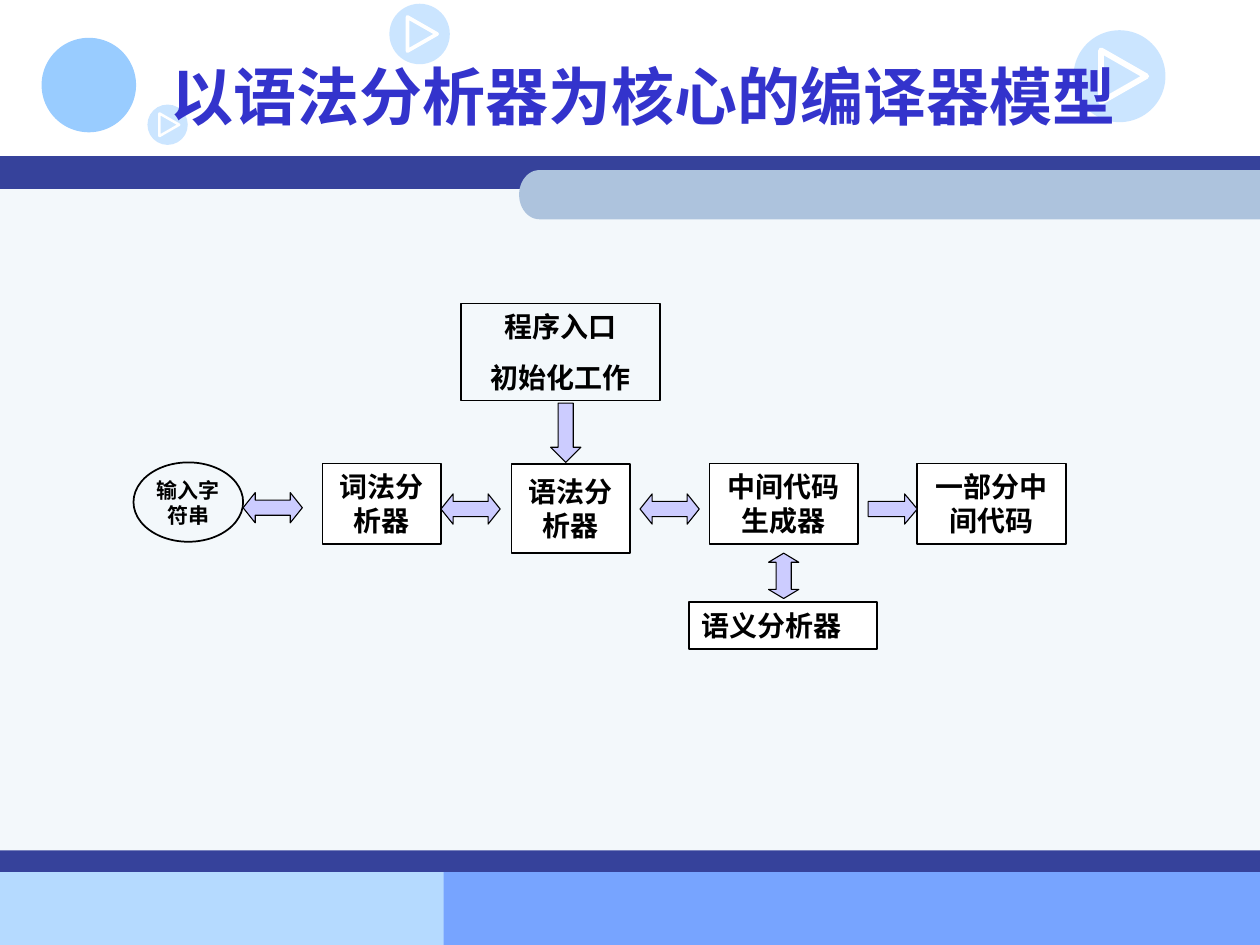
from dataclasses import dataclass
from math import cos, pi, sin

from lxml.etree import SubElement
from pptx import Presentation
from pptx.dml.color import RGBColor
from pptx.enum.shapes import MSO_SHAPE as Shape
from pptx.enum.text import MSO_ANCHOR as Anchor, PP_ALIGN as Align
from pptx.oxml.ns import qn
from pptx.util import Inches, Pt


@dataclass(frozen=True)
class Theme:
    title: str = "3333CC"
    sky: str = "99CCFF"
    navy: str = "36429B"
    banner: str = "ADC3DD"
    body: str = "F3F8FB"
    foot_left: str = "B5DAFF"
    foot_right: str = "77A4FF"
    arrow: str = "CCCCFF"
    black: str = "000000"
    white: str = "FFFFFF"
    cjk: str = "Noto Sans CJK SC"
    latin: str = "Times New Roman"
    title_size: int = 36
    box_size: int = 16
    small_size: int = 12
    box_line: float = 1
    arrow_line: float = 0.62


T = Theme()


def paint(sp, fill=None, line=None, width=1):
    sp.shadow.inherit = False
    if fill:
        sp.fill.solid()
        sp.fill.fore_color.rgb = RGBColor.from_string(fill)
    else:
        sp.fill.background()
    if line:
        sp.line.color.rgb = RGBColor.from_string(line)
        sp.line.width = Pt(width)
    else:
        sp.line.fill.background()
    return sp


def add_shape(s, kind, at, *style):
    return paint(s.shapes.add_shape(kind, *map(Inches, at)), *style)


def add_outline(s, points, *style):
    start, *rest = [(Inches(x), Inches(y)) for x, y in points]
    builder = s.shapes.build_freeform(*start)
    builder.add_line_segments(rest, close=True)
    return paint(builder.convert_to_shape(), *style)


def add_run(p, text, size, font, color):
    r = p.add_run()
    r.text = text
    r.font.size, r.font.name, r.font.bold = Pt(size), font, True
    r.font.color.rgb = RGBColor.from_string(color)
    SubElement(r.font._element, qn("a:ea")).set("typeface", T.cjk)


def write(sp, lines, size=T.box_size, font=T.latin, color=T.black,
          align=Align.CENTER, anchor=Anchor.TOP):
    tf = sp.text_frame
    tf.word_wrap = True
    tf.vertical_anchor = anchor
    for i, line in enumerate(lines):
        p = tf.add_paragraph() if i else tf.paragraphs[0]
        p.alignment = align
        if i:
            p.space_before = Pt(10)
        add_run(p, line, size, font, color)


def add_box(s, at, *lines, fill=T.white, **style):
    write(add_shape(s, Shape.RECTANGLE, at, fill, T.black, T.box_line),
          lines, **style)


def add_arrow(s, kind, at, head, turn=0):
    sp = add_shape(s, kind, at, T.arrow, T.black, T.arrow_line)
    sp.adjustments[0], sp.adjustments[1] = 0.5, head
    sp.rotation = turn


def add_play_button(s, x, y, d):
    disc = add_shape(s, Shape.OVAL, (x, y, d, d), T.sky)
    color = disc.fill._xPr.find(".//" + qn("a:srgbClr"))
    SubElement(color, qn("a:alpha")).set("val", "50000")
    corners = [(0.3, 0.22), (0.79, 0.5), (0.3, 0.78)]
    add_outline(s, [(x + d * u, y + d * v) for u, v in corners],
                None, T.white, 4.5 * d)


def add_banner(s, left=4.12, top=1.35, right=10, height=0.39, bulge=0.16):
    mid, steps = top + height / 2, 24
    arc = [(left + bulge * (1 - sin(pi * i / steps)),
            mid - height / 2 * cos(pi * i / steps)) for i in range(steps + 1)]
    add_outline(s, [(right, top), *arc, (right, top + height)], T.banner)


def add_backdrop(s):
    for at, fill in [
        ((0, 6.92, 4.25, 0.58), T.foot_left),
        ((3.52, 6.91, 6.48, 0.59), T.foot_right),
        ((0, 1.4, 10, 5.51), T.body),
        ((0, 1.24, 10, 0.26), T.navy),
        ((0, 6.75, 10, 0.17), T.navy),
    ]:
        add_shape(s, Shape.RECTANGLE, at, fill)
    add_banner(s)
    # Plain emblem beside the title
    add_shape(s, Shape.OVAL, (0.33, 0.3, 0.75, 0.75), T.sky)
    for button in [(3.09, 0.03, 0.48), (8.52, 0.24, 0.73), (1.17, 0.83, 0.32)]:
        add_play_button(s, *button)


def add_title(s, text):
    title = s.shapes.title
    title.left, title.top, title.width, title.height = map(
        Inches, (1.25, 0.17, 8.5, 1.17))
    write(title, [text], T.title_size, T.cjk, T.title, Align.LEFT,
          Anchor.MIDDLE)
    # Bring the title in front of the backdrop
    title.element.getparent().append(title.element)


def add_model(s):
    row, height = 3.68, 0.64
    # Compiler stages
    add_box(s, (2.56, row, 0.94, height), "词法分析器")
    add_box(s, (4.06, row, 0.94, 0.71), "语法分析器", anchor=Anchor.MIDDLE)
    add_box(s, (5.63, row, 1.18, height), "中间代码生成器")
    add_box(s, (7.28, row, 1.18, height), "一部分中间代码")
    add_box(s, (5.47, 4.78, 1.49, 0.37), "语义分析器", align=Align.LEFT)
    add_box(s, (3.66, 2.41, 1.58, 0.77), "程序入口", "初始化工作", fill=None)

    # Input string
    add_shape(s, Shape.OVAL, (1.06, 3.67, 0.87, 0.63), None, T.black,
              T.box_line)
    label = s.shapes.add_textbox(*map(Inches, (1.14, 3.74, 0.71, 0.5)))
    write(label, ["输入字符串"], T.small_size, T.cjk)

    # Data flow
    for x, y in [(1.93, 3.91), (3.5, 3.92), (5.08, 3.92)]:
        add_arrow(s, Shape.LEFT_RIGHT_ARROW, (x, y, 0.47, 0.24), 0.4)
    add_arrow(s, Shape.LEFT_RIGHT_ARROW, (6.04, 4.45, 0.36, 0.24), 0.3, 270)
    add_arrow(s, Shape.RIGHT_ARROW, (6.89, 3.92, 0.39, 0.24), 0.42)
    add_arrow(s, Shape.DOWN_ARROW, (4.37, 3.2, 0.24, 0.47), 0.5)


def main():
    prs = Presentation()
    prs.slide_width, prs.slide_height = Inches(10), Inches(7.5)
    s = prs.slides.add_slide(prs.slide_layouts[5])
    add_backdrop(s)
    add_title(s, "以语法分析器为核心的编译器模型")
    add_model(s)
    prs.save("out.pptx")


if __name__ == "__main__":
    main()
